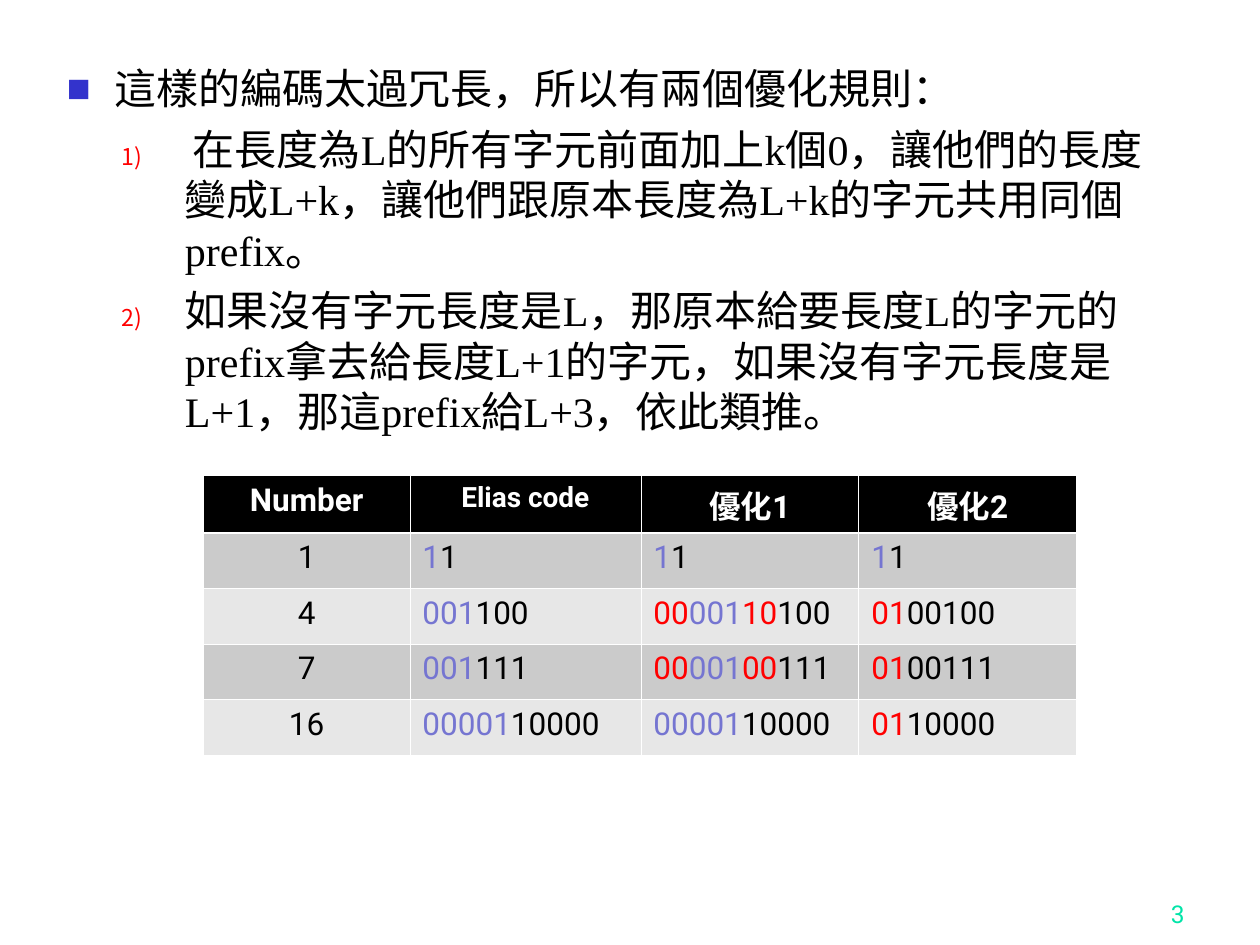
from lxml.etree import SubElement
from pptx import Presentation
from pptx.dml.color import RGBColor
from pptx.enum.text import MSO_ANCHOR, MSO_AUTO_SIZE, PP_ALIGN
from pptx.oxml import parse_xml
from pptx.oxml.ns import nsdecls, qn
from pptx.util import Pt

BLACK = RGBColor(0, 0, 0)
WHITE = RGBColor(255, 255, 255)
RED = RGBColor(255, 0, 0)
BLUE = RGBColor(0x33, 0x33, 0xCC)
LILAC = RGBColor(0x75, 0x75, 0xD1)
MINT = RGBColor(0, 0xE4, 0xA8)
DARK_BAND = RGBColor(0xCB, 0xCB, 0xCB)
LIGHT_BAND = RGBColor(0xE7, 0xE7, 0xE7)

RULES = [
    "\t在長度為L的所有字元前面加上k個0，讓他們的長度變成L+k，讓他們跟原本長度為L+k的字元共用同個prefix。",
    "如果沒有字元長度是L，那原本給要長度L的字元的prefix拿去給長度L+1的字元，如果沒有字元長度是L+1，那這prefix給L+3，依此類推。",
]
HEADINGS = [("Number", 18), ("Elias code", 16), ("優化1", 18), ("優化2", 18)]
ONE = [("1", LILAC), ("1", BLACK)]
SIXTEEN = [("00001", LILAC), ("10000", BLACK)]
CODES = [
    ("1", ONE, ONE, ONE),
    ("4", [("001", LILAC), ("100", BLACK)],
     [("00", RED), ("001", LILAC), ("10", RED), ("100", BLACK)],
     [("01", RED), ("00100", BLACK)]),
    ("7", [("001", LILAC), ("111", BLACK)],
     [("00", RED), ("001", LILAC), ("00", RED), ("111", BLACK)],
     [("01", RED), ("00111", BLACK)]),
    ("16", SIXTEEN, SIXTEEN, [("01", RED), ("10000", BLACK)]),
]


class SlideWriter:
    sans = "Roboto"
    serif = "Times New Roman"

    def __init__(self, slide):
        self.slide = slide

    def span(self, para, text, size, color, font_name, bold=False):
        span = para.add_run()
        span.text = text
        span.font.name = font_name
        span.font.size = Pt(size)
        span.font.bold = bold
        span.font.color.rgb = color

    def bullet(self, para, left, hanging, color, percent, mark, **attributes):
        properties = para._p.get_or_add_pPr()
        properties.set("marL", str(Pt(left)))
        properties.set("indent", str(-Pt(hanging)))
        SubElement(SubElement(properties, qn("a:buClr")), qn("a:srgbClr"), val=str(color))
        SubElement(properties, qn("a:buSzPct"), val=str(percent * 1000))
        SubElement(properties, qn("a:buFont"), typeface=self.sans)
        SubElement(properties, qn(mark), **attributes)
        tabs = SubElement(properties, qn("a:tabLst"))
        for stop in range(1, 9):
            SubElement(tabs, qn("a:tab"), pos=str(Pt(72 * stop)), algn="l")

    def body(self, left, top, width, height, opening, rules):
        box = self.slide.placeholders[1]
        box.left, box.top, box.width, box.height = Pt(left), Pt(top), Pt(width), Pt(height)
        frame = box.text_frame
        frame.auto_size = MSO_AUTO_SIZE.NONE
        frame.vertical_anchor = MSO_ANCHOR.TOP
        para = frame.paragraphs[0]
        self.bullet(para, 27, 27, BLUE, 60, "a:buChar", char="■")
        para.space_before = Pt(0)
        self.span(para, opening, 24, BLACK, self.serif)
        for rule in rules:
            para = frame.add_paragraph()
            para.level = 1
            self.bullet(para, 67.5, 36, RED, 55, "a:buAutoNum", type="arabicParenR")
            para.space_before = Pt(6)
            self.span(para, rule, 24, BLACK, self.serif)

    def page_number(self, left, top, width, height, text):
        box = self.slide.shapes.add_textbox(Pt(left), Pt(top), Pt(width), Pt(height))
        frame = box.text_frame
        frame.word_wrap = True
        frame.vertical_anchor = MSO_ANCHOR.BOTTOM
        para = frame.paragraphs[0]
        para.alignment = PP_ALIGN.RIGHT
        self.span(para, text, 14, MINT, self.sans)

    def cell(self, cell, spans, fill, centered, size=18, bold=False, top=0.45, bottom=0.45):
        cell.fill.solid()
        cell.fill.fore_color.rgb = fill
        borders = {"lnL": 0.45, "lnR": 0.45, "lnT": top, "lnB": bottom}
        for position, (side, weight) in enumerate(borders.items()):
            line = parse_xml(
                f'<a:{side} {nsdecls("a")} w="{Pt(weight)}"><a:solidFill>'
                f'<a:srgbClr val="{WHITE}"/></a:solidFill></a:{side}>')
            cell._tc.get_or_add_tcPr().insert(position, line)
        para = cell.text_frame.paragraphs[0]
        para.alignment = PP_ALIGN.CENTER if centered else PP_ALIGN.LEFT
        for text, color in spans:
            self.span(para, text, size, color, self.sans, bold)

    def table(self, left, top, widths, heights, headings, rows):
        frame = self.slide.shapes.add_table(
            len(heights), len(widths), Pt(left), Pt(top), Pt(sum(widths)), Pt(sum(heights)))
        table = frame.table
        table.first_row = table.horz_banding = False
        for column, width in zip(table.columns, widths):
            column.width = Pt(width)
        for row, height in zip(table.rows, heights):
            row.height = Pt(height)
        for index, (text, size) in enumerate(headings):
            self.cell(table.cell(0, index), [(text, WHITE)], BLACK, True, size, True, bottom=1.5)
        for number, (label, *codes) in enumerate(rows, 1):
            band = DARK_BAND if number % 2 else LIGHT_BAND
            edge = 1.5 if number == 1 else 0.45
            self.cell(table.cell(number, 0), [(label, BLACK)], band, True, top=edge)
            for index, spans in enumerate(codes, 1):
                self.cell(table.cell(number, index), spans, band, False, top=edge)


def main():
    deck = Presentation()
    deck.slide_width, deck.slide_height = Pt(720), Pt(540)
    page = deck.slides.add_slide(deck.slide_layouts[1])
    title = page.shapes.title
    title.element.getparent().remove(title.element)
    writer = SlideWriter(page)
    writer.page_number(534, 498, 150, 36, "3")
    writer.body(31, 32, 636, 476, "這樣的編碼太過冗長，所以有兩個優化規則：", RULES)
    writer.table(116.25, 271.75, [118, 132, 124.5, 124.5], [33] + [31.7] * 4, HEADINGS, CODES)
    deck.save("out.pptx")


if __name__ == "__main__":
    main()
